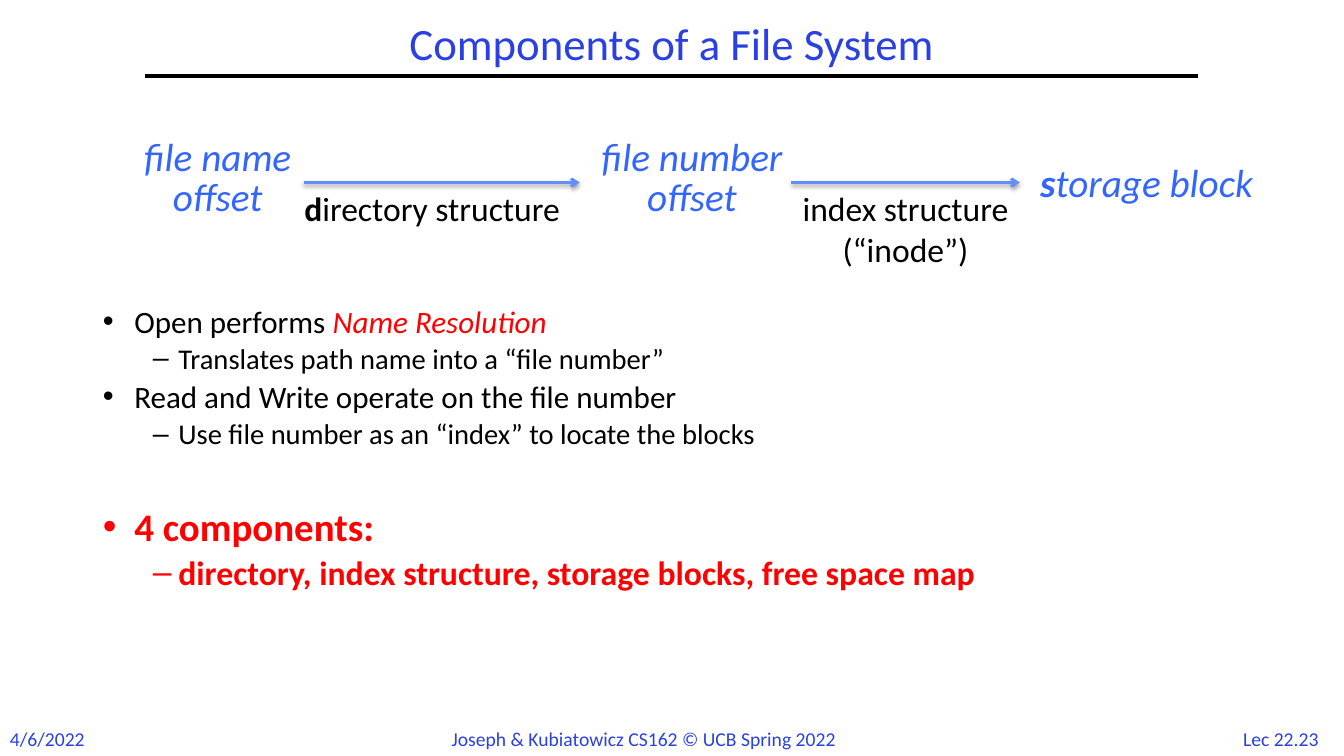
import pptx
import pptx.util
import pptx.dml.color
import pptx.enum.text
import pptx.enum.shapes
import pptx.oxml
import pptx.oxml.ns

Cm, Pt = pptx.util.Cm, pptx.util.Pt
ALIGN = pptx.enum.text.PP_ALIGN
FIT = pptx.enum.text.MSO_AUTO_SIZE
COLORS = {"title": "2A40E2", "stage": "3366FF", "arrow": "618FFD",
          "text": "000000", "alert": "FF0000"}
FOOTER = {"size": Pt(14), "color": "title"}
STAGE = {"size": Pt(28), "color": "stage", "italic": True}
LABEL = {"size": Pt(24), "color": "text"}
BREAK = "\n"


def rgb(name):
    return pptx.dml.color.RGBColor.from_string(COLORS[name])


def write(para, spans, style, **layout):
    """Add (text, changes) spans to a paragraph on top of a base style."""
    for name, value in layout.items():
        setattr(para, name, value)
    for text, changes in spans:
        if text == BREAK:
            para.add_line_break()
            continue
        span = para.add_run()
        span.text = text
        formats = {"name": "Calibri", **style, **changes}
        span.font.color.rgb = rgb(formats.pop("color"))
        for name, value in formats.items():
            setattr(span.font, name, value)


def add_text(page, box, lines, style, **layout):
    frame = page.shapes.add_textbox(*map(Cm, box)).text_frame
    frame.word_wrap = False
    frame.auto_size = FIT.SHAPE_TO_FIT_TEXT
    for number, spans in enumerate(lines):
        para = frame.add_paragraph() if number else frame.paragraphs[0]
        write(para, spans, style, **layout)


def add_line(page, left, right, y, color, width, arrow=False):
    line = page.shapes.add_connector(
        pptx.enum.shapes.MSO_CONNECTOR.STRAIGHT, Cm(left), Cm(y), Cm(right), Cm(y))
    line.line.color.rgb = rgb(color)
    line.line.width = Pt(width)
    namespace = pptx.oxml.ns.nsdecls("a")
    shadow = ""
    if arrow:
        line.line._get_or_add_ln().append(
            pptx.oxml.parse_xml(f'<a:tailEnd {namespace} type="arrow"/>'))
        shadow = ('<a:outerShdw blurRad="40000" dist="20000" dir="5400000" rotWithShape="0">'
                  '<a:srgbClr val="000000"><a:alpha val="38000"/></a:srgbClr></a:outerShdw>')
    line._element.spPr.append(
        pptx.oxml.parse_xml(f"<a:effectLst {namespace}>{shadow}</a:effectLst>"))


def place(shape, box):
    for name, value in zip(("left", "top", "width", "height"), box):
        setattr(shape, name, Cm(value))
    shape.text_frame.auto_size = FIT.NONE
    return shape.text_frame


def add_title(page, box):
    left, top, width, height = box
    frame = place(page.shapes.title, box)
    frame.vertical_anchor = pptx.enum.text.MSO_ANCHOR.MIDDLE
    write(frame.paragraphs[0], [("Components of a File System", {})],
          {"size": Pt(32), "color": "title"}, alignment=ALIGN.CENTER, line_spacing=0.9)
    add_line(page, left, left + width, top + height, "text", 3)


def add_lookup_diagram(page, box):
    left, top, width, height = box
    arrow_y = 1.22
    # Stages: left, top, width, height and lines
    stages = [
        (0, 0, 4.57, 2.29, [[("file name", {})], [("offset", {})]]),
        (11.51, 0, 5.46, 2.29, [[("file number", {})], [("offset", {})]]),
        (width - 6.53, 0.48, 6.53, 1.45, [[("s", {"bold": True}), ("torage block", {})]]),
    ]
    for x, y, wide, high, lines in stages:
        add_text(page, (left + x, top + y, wide, high), lines, STAGE,
                 alignment=ALIGN.CENTER, line_spacing=0.85 if len(lines) > 1 else 1.0)
    # Steps: arrow start and end, label left, width, height, alignment and spans
    steps = [
        (4.45, 11.41, 4.22, 7.39, 1.27, ALIGN.LEFT,
         [("d", {"bold": True}), ("irectory structure", {})]),
        (16.74, 22.5, 16.56, 6.12, height - arrow_y, ALIGN.CENTER,
         [("index structure", {}), (BREAK, {}), ("(“inode”)", {})]),
    ]
    for start, end, x, wide, high, alignment, spans in steps:
        add_line(page, left + start, left + end, top + arrow_y, "arrow", 2, arrow=True)
        add_text(page, (left + x, top + arrow_y + 0.02, wide, high), [spans], LABEL,
                 alignment=alignment)


def add_bullets(page, box):
    frame = place(page.placeholders[1], box)
    strong = {"color": "alert", "bold": True}
    # Level, size, extra space above, spans
    points = [
        (0, 22.2, 0, [("Open performs ", {}),
                      ("Name Resolution", {"color": "alert", "italic": True})]),
        (1, 20.4, 0, [("Translates path name into a “file number”", {})]),
        (0, 22.2, 0, [("Read and Write operate on the file number", {})]),
        (1, 20.4, 0, [("Use file number as an “index” to locate the blocks", {})]),
        (0, 27.8, 35.5, [("4 components:", strong)]),
        (1, 24.1, 0, [("directory, index structure, storage blocks, free space map", strong)]),
    ]
    indents = [(0.79, -0.79), (1.9, -0.64)]
    for number, (level, size, gap, spans) in enumerate(points):
        para = frame.add_paragraph() if number else frame.paragraphs[0]
        write(para, spans, {"size": Pt(size), "color": "text"}, level=level,
              line_spacing=0.8, space_before=Pt(0.3 * size + gap))
        margin, hanging = indents[level]
        properties = para._p.get_or_add_pPr()
        properties.set("marL", str(Cm(margin)))
        properties.set("indent", str(Cm(hanging)))


def add_footer(page, box):
    left, top, width, height = box
    entries = [
        (0, 2.44, ALIGN.LEFT, "4/6/2022"),
        (11.13, 11.56, ALIGN.LEFT, "Joseph & Kubiatowicz CS162 © UCB Spring 2022"),
        (width - 2.96, 2.74, ALIGN.CENTER, "Lec 22.23"),
    ]
    for x, wide, alignment, text in entries:
        add_text(page, (left + x, top, wide, height), [[(text, {})]], FOOTER,
                 alignment=alignment)


def main():
    deck = pptx.Presentation()
    deck.slide_width, deck.slide_height = Cm(33.87), Cm(19.05)
    page = deck.slides.add_slide(deck.slide_layouts[1])
    add_title(page, (3.66, 0.43, 26.54, 1.48))
    add_lookup_diagram(page, (3.2, 3.38, 28.96, 3.55))
    add_bullets(page, (2.34, 7.67, 30.99, 7.95))
    add_footer(page, (0, 18.19, 33.87, 0.86))
    deck.save("out.pptx")


if __name__ == "__main__":
    main()
